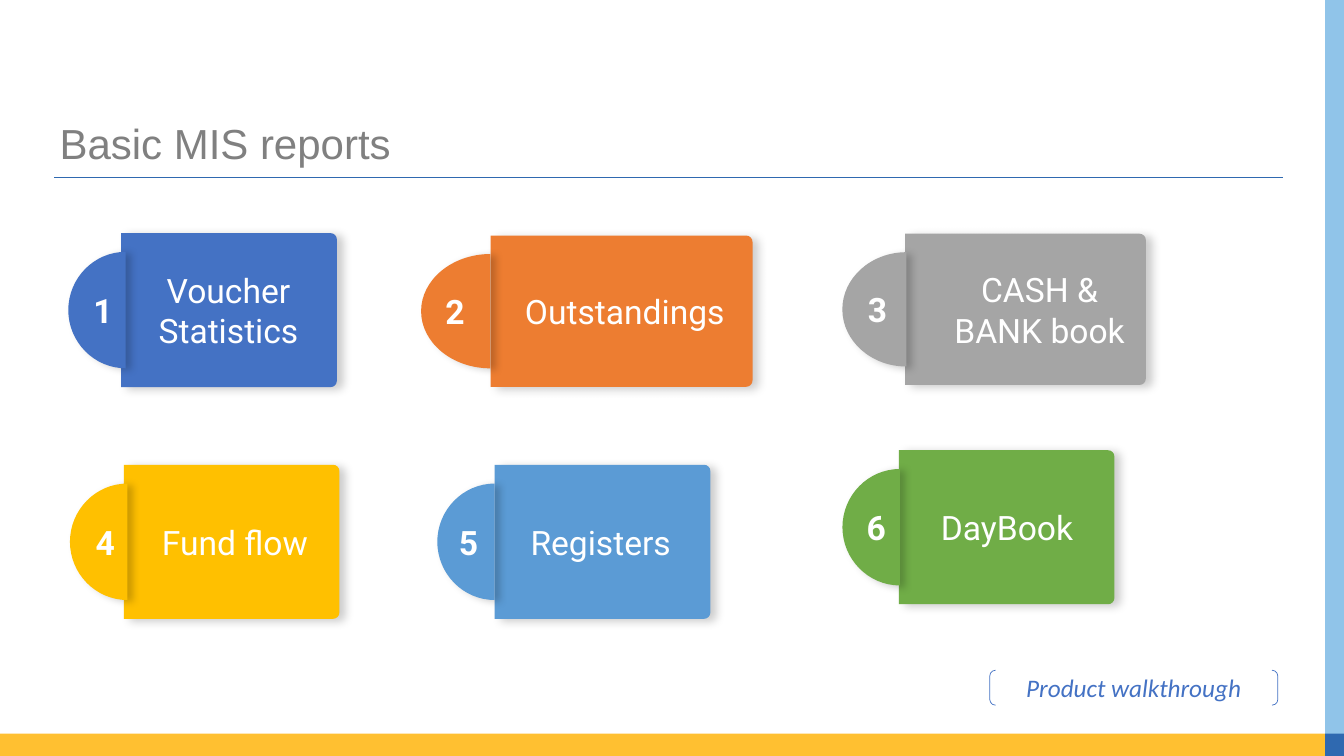
import lxml.etree
import pptx
import pptx.util
import pptx.oxml
import pptx.oxml.ns
import pptx.dml.color
import pptx.enum.shapes
import pptx.enum.text

Pt = pptx.util.Pt
Kind = pptx.enum.shapes.MSO_SHAPE
Align = pptx.enum.text.PP_ALIGN
Color = pptx.dml.color.RGBColor.from_string
tag = pptx.oxml.ns.qn

theme = {
    "rule": "2F69B0", "base": "FFC031", "side": "90C4E9", "link": "4472C4",
    "title": {"name": "Arial", "size": Pt(30), "color": "808080"},
    "digit": {"name": "Roboto", "size": Pt(24), "bold": True, "color": "FFFFFF"},
    "label": {"name": "Roboto", "size": Pt(24), "color": "FFFFFF"},
    "note": {"name": "Calibri", "size": Pt(18), "italic": True, "color": "4472C4"},
}


def write(shape, text, style, align):
    frame = shape.text_frame
    look = {"word_wrap": True, "vertical_anchor": pptx.enum.text.MSO_ANCHOR.MIDDLE,
            "margin_left": Pt(7.2), "margin_right": Pt(7.2),
            "margin_top": Pt(3.6), "margin_bottom": Pt(3.6)}
    for key, value in look.items():
        setattr(frame, key, value)
    para = frame.paragraphs[0]
    para.alignment = align
    run = para.add_run()
    run.text = text
    for key, value in theme[style].items():
        if key == "color":
            run.font.color.rgb = Color(value)
        else:
            setattr(run.font, key, value)
    return para


def paint(shape, color, blur=0, dist=0):
    shape.shadow.inherit = False
    shape.fill.solid()
    shape.fill.fore_color.rgb = Color(color)
    shape.line.fill.background()
    if blur:
        shade = pptx.oxml.parse_xml(
            '<a:outerShdw xmlns:a="http://schemas.openxmlformats.org/drawingml/2006/main" '
            f'blurRad="{Pt(blur)}" dist="{Pt(dist)}" dir="1200000" algn="ctr" rotWithShape="0">'
            '<a:srgbClr val="000000"><a:alpha val="20000"/></a:srgbClr></a:outerShdw>')
        shape._element.spPr.find(tag("a:effectLst")).append(shade)


deck = pptx.Presentation()
deck.slide_width, deck.slide_height = Pt(960), Pt(540)
slide = deck.slides.add_slide(deck.slide_layouts[6])
shapes = slide.shapes

rule = shapes.add_connector(pptx.enum.shapes.MSO_CONNECTOR.STRAIGHT,
                            Pt(38.75), Pt(126.75), Pt(916.5), Pt(126.75))
rule.line.color.rgb = Color(theme["rule"])
rule.line.width = Pt(0.82)
lxml.etree.SubElement(rule._element.spPr, tag("a:effectLst"))

bars = [("base", 0, 524, 954, 16), ("side", 946.5, 0, 16, 535), ("rule", 946.5, 524, 16, 16)]
for color, *box in bars:
    paint(shapes.add_shape(Kind.RECTANGLE, *map(Pt, box)), theme[color])

title = shapes.add_textbox(Pt(35.5), Pt(86.4), Pt(878), Pt(36))
write(title, "Basic MIS reports", "title", Align.LEFT).line_spacing = 0.9

cards = [
    ("Voucher Statistics", "4472C4", (86.6, 166.5, 154, 110), (48.8, 41), (59.6, 26), (91.7, 143)),
    ("Outstandings", "ED7D31", (350.5, 168.3, 187, 108), (300.8, 49.5), (311, 31), (363.6, 165.5)),
    ("CASH & BANK book", "A5A5A5", (646.5, 167, 172, 108), (601.7, 45.7), (612.8, 29), (666.6, 152)),
    ("Fund flow", "FFC000", (88.4, 332, 154, 110), (50, 41), (61.2, 26), (99.3, 137)),
    ("Registers", "5B9BD5", (353.4, 332, 154, 110), (312.4, 41), (320.6, 26), (360.6, 137)),
    ("DayBook", "70AD47", (642, 321.6, 154, 110), (601.8, 41), (612, 26), (650.8, 137)),
]
curve, bend = 4.5, 0.55
for count, (name, color, card, disc, digit, label) in enumerate(cards, 1):
    left, top, width, height = card
    right, low, mid = left + width, top + height, top + height / 2
    inner, pull = right - curve, curve * (1 - bend)
    body = [(left, top), (left, low),
            (inner, low), (right - pull, low), (right, low - pull), (right, low - curve),
            (right, top + curve), (right, top + pull), (right - pull, top), (inner, top)]

    edge, reach = disc
    flat, rise = edge + reach, height * 0.378
    near = flat - reach * bend
    half = [(flat, mid - rise),
            (near, mid - rise), (edge, mid - rise * bend), (edge, mid),
            (edge, mid + rise * bend), (near, mid + rise), (flat, mid + rise)]

    group = shapes.add_group_shape()
    for points, bows, blur, dist in ((body, (2, 6), 6.8, 4.5), (half, (0, 3), 5.6, 3.8)):
        dots = [(Pt(x), Pt(y)) for x, y in points]
        pen = group.shapes.build_freeform(*dots[0])
        pen.add_line_segments(dots[1:], close=True)
        form = pen.convert_to_shape()
        lines = list(form._element.iter(tag("a:lnTo")))
        for first in bows:
            bow = lxml.etree.Element(tag("a:cubicBezTo"))
            lines[first].addprevious(bow)
            for line in lines[first:first + 3]:
                bow.append(line[0])
                line.getparent().remove(line)
        paint(form, color, blur, dist)
    for text, style, align, (x, span) in ((str(count), "digit", Align.LEFT, digit),
                                          (name, "label", Align.CENTER, label)):
        box = group.shapes.add_textbox(Pt(x), Pt(mid - 17), Pt(span), Pt(34))
        write(box, text, style, align)

note = shapes.add_shape(Kind.DOUBLE_BRACKET, Pt(707), Pt(478.75), Pt(205.8), Pt(25))
note.shadow.inherit = False
note.fill.background()
note.line.color.rgb = Color(theme["link"])
note.line.width = Pt(0.5)
write(note, "Product walkthrough", "note", Align.CENTER)

deck.save("out.pptx")
